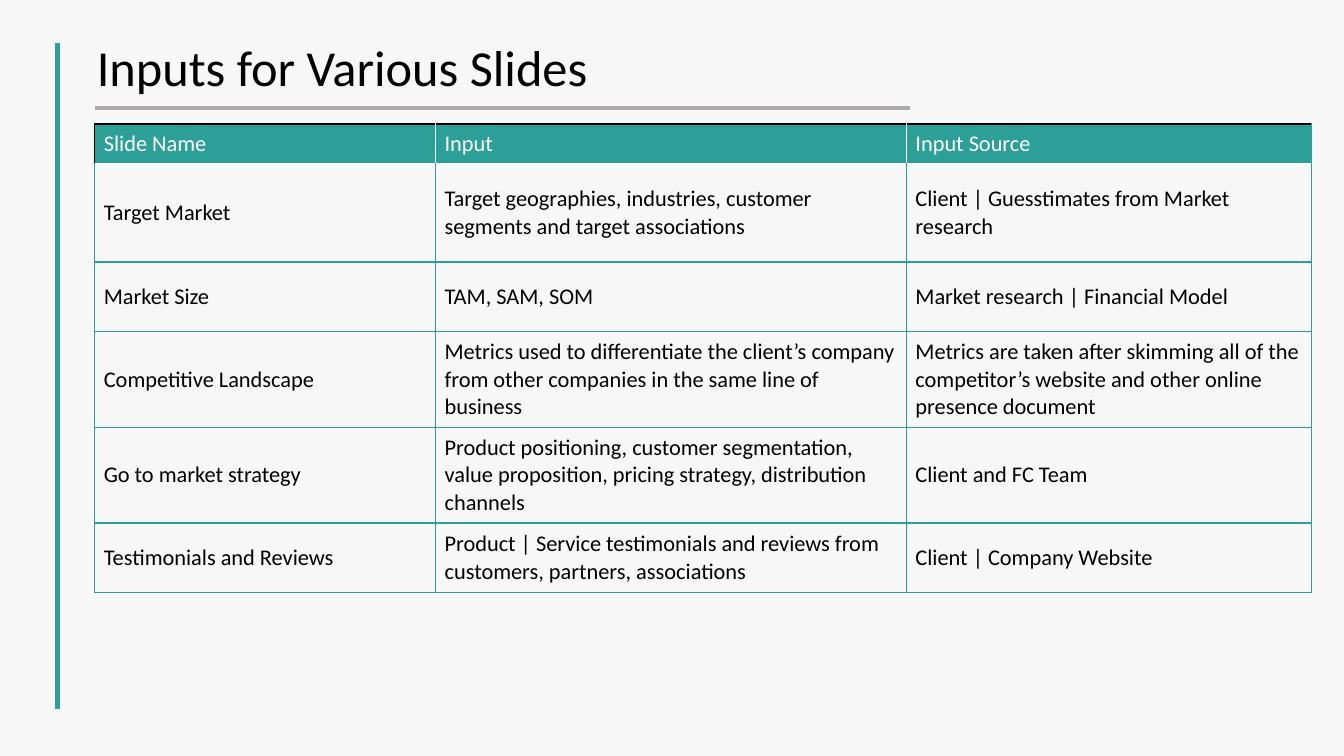
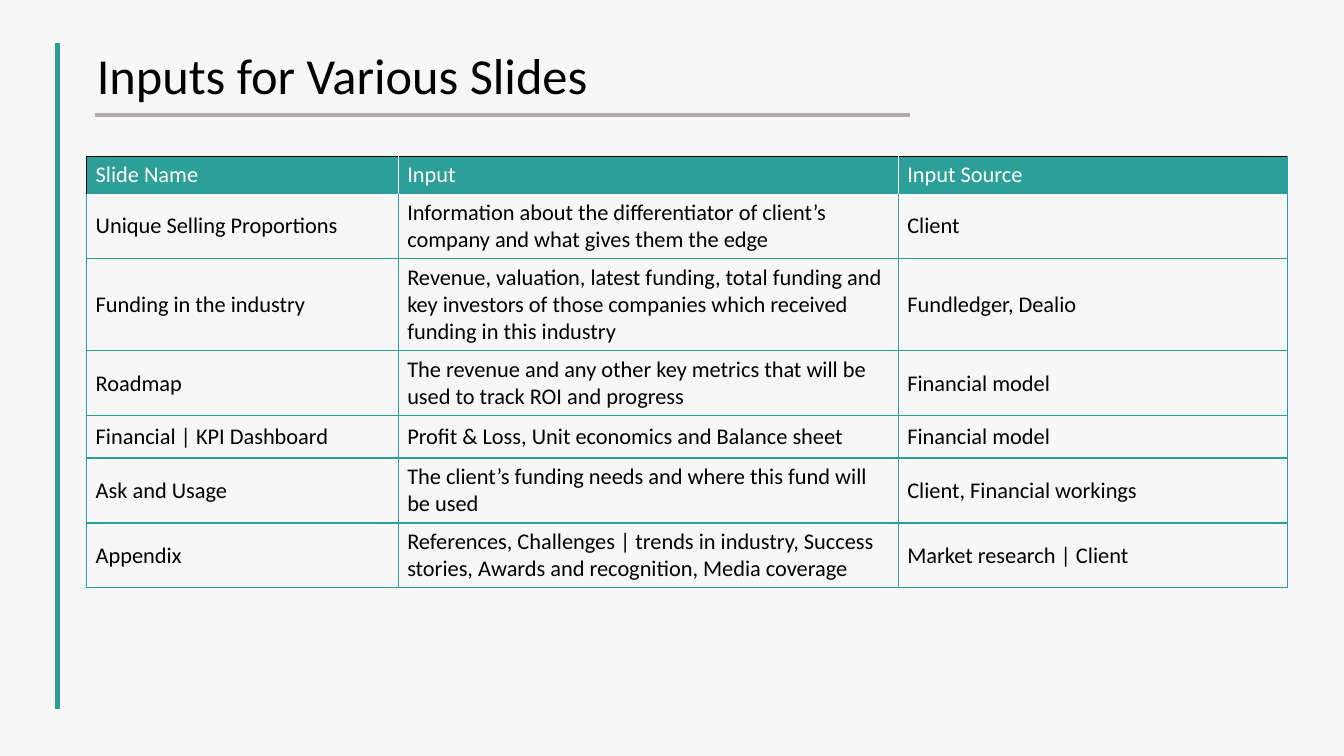
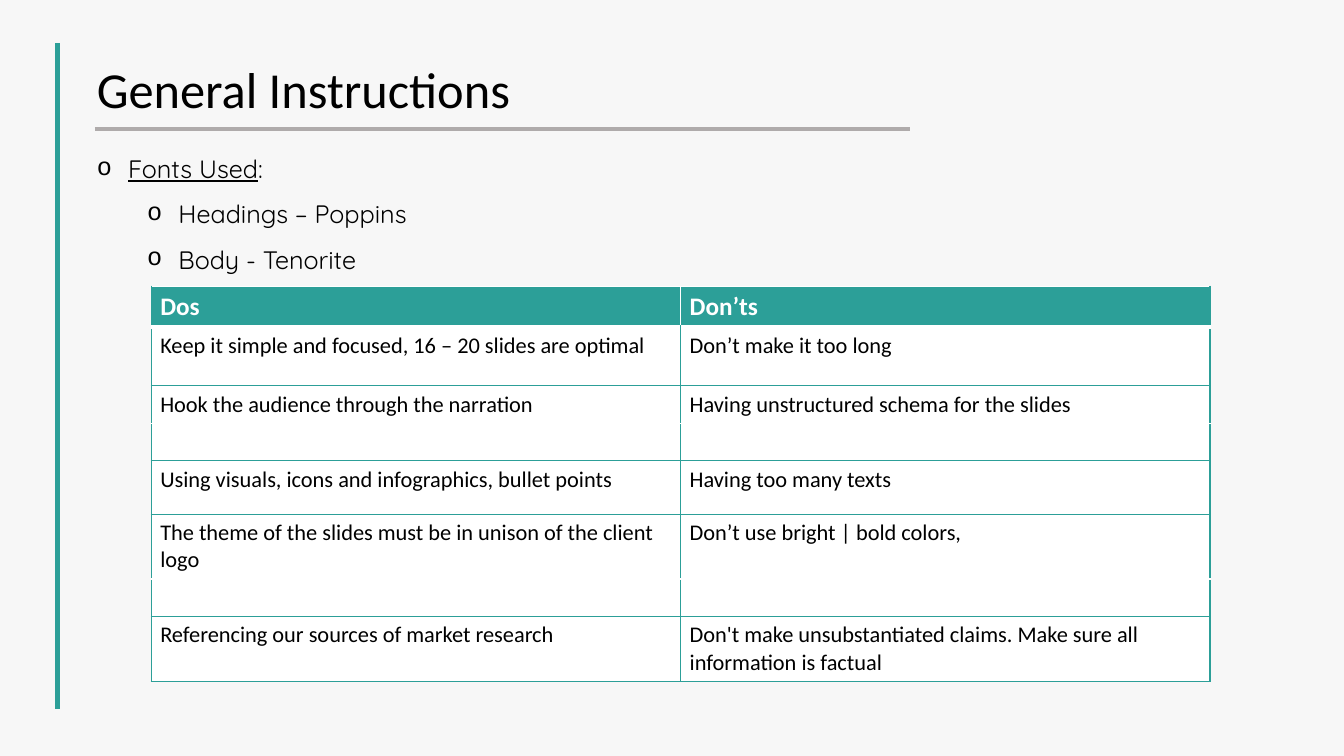
from lxml import etree
from pptx import Presentation
from pptx.dml.color import RGBColor
from pptx.enum.shapes import MSO_CONNECTOR
from pptx.enum.text import MSO_ANCHOR, MSO_AUTO_SIZE, PP_ALIGN
from pptx.oxml.ns import qn
from pptx.util import Inches, Pt

TEAL = RGBColor(0x2C, 0x9F, 0x98)
GRAY = RGBColor(0xAF, 0xAB, 0xAB)
PAPER = RGBColor(0xF7, 0xF7, 0xF7)
BLACK = RGBColor(0, 0, 0)
WHITE = RGBColor(0xFF, 0xFF, 0xFF)
STRAIGHT = MSO_CONNECTOR.STRAIGHT
TOP, MIDDLE = MSO_ANCHOR.TOP, MSO_ANCHOR.MIDDLE
NO_FIT = MSO_AUTO_SIZE.NONE
LEFT = PP_ALIGN.LEFT


def add_text(p, text, size=16, font="Calibri", color=BLACK, bold=False, underline=False):
    r = p.add_run()
    r.text = text
    r.font.size = Pt(size)
    r.font.name = font
    r.font.color.rgb = color
    r.font.bold = bold
    r.font.underline = underline


def set_border(cell, side, line):
    ln = etree.SubElement(cell._tc.get_or_add_tcPr(), qn("a:ln" + side))
    if line is None:
        etree.SubElement(ln, qn("a:noFill"))
        return
    color, width = line
    ln.set("w", str(Pt(width)))
    fill = etree.SubElement(ln, qn("a:solidFill"))
    etree.SubElement(fill, qn("a:srgbClr"), val=str(color))


THIN, LINE = (TEAL, 0.5), (TEAL, 1)
INPUT_HEADER = ("Slide Name", "Input", "Input Source")
INPUT_STYLE = dict(anchor=MIDDLE, header_size=16, header_bold=False, body_fill=None,
                   header_left=(BLACK, 1), header_inner=(WHITE, 0.5))

slides = [
    dict(
        INPUT_STYLE, title="Inputs for Various Slides", title_top=0.33, rule_y=1.07,
        bullets=[], left=0.94, top=1.23, cols=[3.38, 4.67, 4.02],
        heights=[0.39, 0.98, 0.69, 0.95, 0.95, 0.69],
        edges=[(BLACK, 1), None] + [LINE] * 5,
        rows=[
            INPUT_HEADER,
            ("Target Market",
             "Target geographies, industries, customer segments and target associations",
             "Client | Guesstimates from Market research"),
            ("Market Size", "TAM, SAM, SOM", "Market research | Financial Model"),
            ("Competitive Landscape",
             "Metrics used to differentiate the client’s company from other companies in the same line of business",
             "Metrics are taken after skimming all of the competitor’s website and other online presence document"),
            ("Go to market strategy",
             "Product positioning, customer segmentation, value proposition, pricing strategy, distribution channels",
             "Client and FC Team"),
            ("Testimonials and Reviews",
             "Product | Service testimonials and reviews from customers, partners, associations",
             "Client | Company Website"),
        ],
    ),
    dict(
        INPUT_STYLE, title="Inputs for Various Slides", title_top=0.41, rule_y=1.14,
        bullets=[], left=0.86, top=1.55, cols=[3.09, 4.96, 3.86],
        heights=[0.34, 0.6, 0.85, 0.6, 0.42, 0.6, 0.6],
        edges=[(BLACK, 1), None] + [LINE] * 6,
        rows=[
            INPUT_HEADER,
            ("Unique Selling Proportions",
             "Information about the differentiator of client’s company and what gives them the edge",
             "Client"),
            ("Funding in the industry",
             "Revenue, valuation, latest funding, total funding and key investors of those companies which received funding in this industry",
             "Fundledger, Dealio"),
            ("Roadmap",
             "The revenue and any other key metrics that will be used to track ROI and progress",
             "Financial model"),
            ("Financial | KPI Dashboard",
             "Profit & Loss, Unit economics and Balance sheet",
             "Financial model"),
            ("Ask and Usage",
             "The client’s funding needs and where this fund will be used",
             "Client, Financial workings"),
            ("Appendix",
             "References, Challenges | trends in industry, Success stories, Awards and recognition, Media coverage",
             "Market research | Client"),
        ],
    ),
    dict(
        anchor=TOP, header_size=18, header_bold=True, body_fill=WHITE,
        header_left=LINE, header_inner=(WHITE, 1),
        title="General Instructions", title_top=0.54, rule_y=1.28,
        bullets=[(0, [("Fonts Used", True), (":", False)]),
                 (1, [("Headings – Poppins", False)]),
                 (1, [("Body - Tenorite", False)])],
        left=1.5, top=2.84, cols=[5.25, 5.25],
        heights=[0.37, 0.58, 0.34, 0.34, 0.53, 0.34, 0.34, 0.58],
        edges=[(WHITE, 1), (WHITE, 3), THIN, (WHITE, 1), THIN, THIN, (WHITE, 1), LINE, THIN],
        rows=[
            ("Dos", "Don’ts"),
            ("Keep it simple and focused, 16 – 20 slides are optimal", "Don’t make it too long"),
            ("Hook the audience through the narration", "Having unstructured schema for the slides"),
            ("", ""),
            ("Using visuals, icons and infographics, bullet points", "Having too many texts"),
            ("The theme of the slides must be in unison of the client logo",
             "Don’t use bright | bold colors,"),
            ("", ""),
            ("Referencing our sources of market research",
             "Don't make unsubstantiated claims. Make sure all information is factual"),
        ],
    ),
]

prs = Presentation()
prs.slide_width = Inches(13.33)
prs.slide_height = Inches(7.5)
fill = prs.slide_master.background.fill
fill.solid()
fill.fore_color.rgb = PAPER

for d in slides:
    s = prs.slides.add_slide(prs.slide_layouts[1 if d["bullets"] else 5])

    sp = s.shapes.title
    sp.left, sp.top = Inches(0.86), Inches(d["title_top"])
    sp.width, sp.height = Inches(11.38), Inches(0.63)
    tf = sp.text_frame
    tf.margin_left = tf.margin_right = tf.margin_top = tf.margin_bottom = Inches(0.1)
    tf.vertical_anchor = TOP
    tf.auto_size = NO_FIT
    p = tf.paragraphs[0]
    p.alignment = LEFT
    p.line_spacing = 0.9
    add_text(p, d["title"], size=36)

    y = d["rule_y"]
    for x1, y1, x2, y2, color, width in [(0.57, 0.43, 0.57, 7.03, TEAL, 3.25),
                                         (0.94, y, 9.03, y, GRAY, 3)]:
        sp = s.shapes.add_connector(STRAIGHT, Inches(x1), Inches(y1), Inches(x2), Inches(y2))
        sp.line.color.rgb = color
        sp.line.width = Pt(width)
        etree.SubElement(sp._element.spPr, qn("a:effectLst"))

    if d["bullets"]:
        sp = s.placeholders[1]
        sp.left, sp.top = Inches(0.86), Inches(1.32)
        sp.width, sp.height = Inches(10.51), Inches(1.43)
        tf = sp.text_frame
        tf.auto_size = NO_FIT
        for i, (level, runs) in enumerate(d["bullets"]):
            p = tf.add_paragraph() if i else tf.paragraphs[0]
            p.level = level
            p.line_spacing = 1.5
            p.space_before = Pt(0)
            pPr = p._p.get_or_add_pPr()
            pPr.set("marL", str(Inches(0.31 + 0.5 * level)))
            pPr.set("indent", str(Inches(-0.31)))
            etree.SubElement(pPr, qn("a:buFont"), typeface="Courier New")
            etree.SubElement(pPr, qn("a:buChar"), char="o")
            for text, underline in runs:
                add_text(p, text, size=18, font="Quicksand", underline=underline)

    rows, cols, edges = d["rows"], d["cols"], d["edges"]
    table = s.shapes.add_table(len(rows), len(cols), Inches(d["left"]), Inches(d["top"]),
                               Inches(sum(cols)), Inches(sum(d["heights"]))).table
    table.horz_banding = False
    for col, width in zip(table.columns, cols):
        col.width = Inches(width)
    for row, height in zip(table.rows, d["heights"]):
        row.height = Inches(height)

    for i, texts in enumerate(rows):
        header = i == 0
        inner = d["header_inner"] if header else THIN
        outer_left = d["header_left"] if header else LINE
        verticals = [outer_left] + [inner] * (len(cols) - 1) + [LINE]
        background = TEAL if header else d["body_fill"]
        for j, text in enumerate(texts):
            cell = table.cell(i, j)
            cell.vertical_anchor = d["anchor"]
            cell.margin_left = cell.margin_right = Inches(0.09)
            set_border(cell, "L", verticals[j])
            set_border(cell, "R", verticals[j + 1])
            set_border(cell, "T", edges[i])
            set_border(cell, "B", edges[i + 1])
            if background is None:
                cell.fill.background()
            else:
                cell.fill.solid()
                cell.fill.fore_color.rgb = background
            p = cell.text_frame.paragraphs[0]
            if not text:
                etree.SubElement(p._p, qn("a:endParaRPr"), sz="1600")
            elif header:
                add_text(p, text, size=d["header_size"], color=WHITE, bold=d["header_bold"])
            else:
                add_text(p, text)

prs.save("out.pptx")
